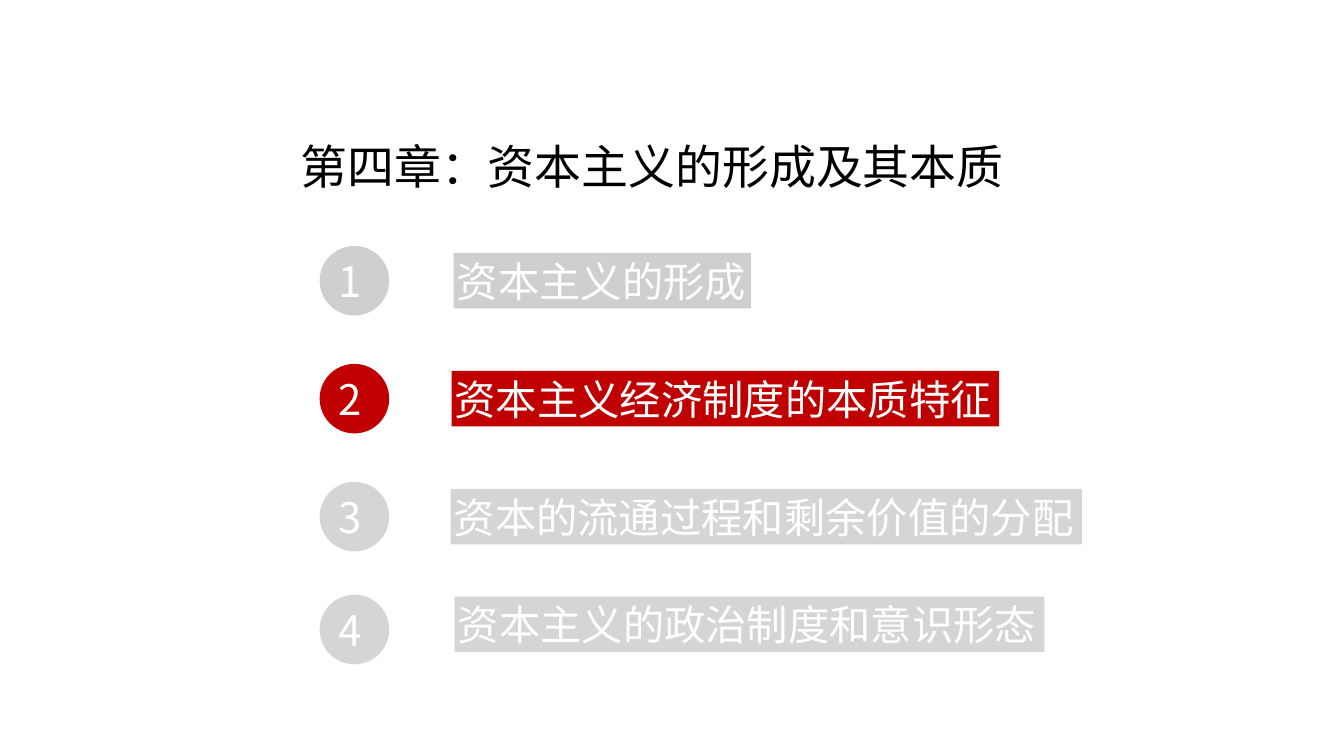
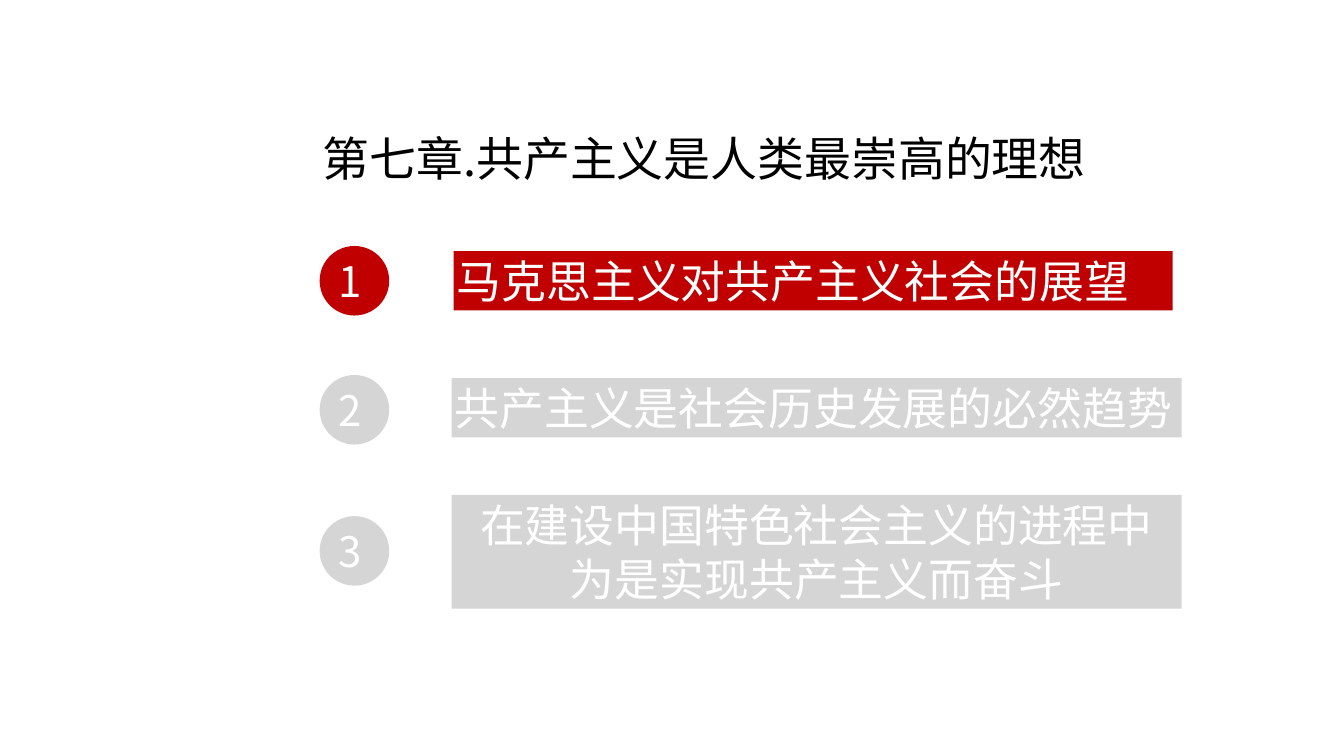
from dataclasses import dataclass

from lxml.etree import SubElement
from pptx import Presentation
from pptx.dml.color import RGBColor
from pptx.enum.shapes import MSO_SHAPE
from pptx.enum.text import MSO_ANCHOR, MSO_AUTO_SIZE, PP_ALIGN
from pptx.oxml.ns import qn
from pptx.util import Inches, Pt

FONT = "Noto Sans CJK SC"
BLACK, WHITE = "000000", "FFFFFF"
RED, GREY, WARM_GREY = "C00000", "D5D5D5", "D0CECE"
CIRCLE_LEFT, CIRCLE_SIZE = 3.17, 0.69
INSET = 0.03
DIGIT_INDENT = 0.09


@dataclass(frozen=True)
class Box:
    left: float
    top: float
    width: float
    height: float

    def emu(self) -> tuple:
        return tuple(Inches(v) for v in (self.left, self.top, self.width, self.height))


@dataclass(frozen=True)
class Section:
    lines: tuple
    circle_top: float
    bar: Box
    fill: str = GREY
    align: PP_ALIGN = PP_ALIGN.LEFT


@dataclass(frozen=True)
class Chapter:
    title: str
    title_box: Box
    bar_size: float
    sections: tuple


CHAPTERS = (
    Chapter("第四章：资本主义的形成及其本质", Box(2.95, 1.1, 7.1, 0.8), 29.5, (
        Section(("资本主义的形成",), 2.44, Box(4.5, 2.51, 2.95, 0.55), WARM_GREY),
        Section(("资本主义经济制度的本质特征",), 3.61, Box(4.48, 3.68, 5.43, 0.55), RED),
        Section(("资本的流通过程和剩余价值的分配",), 4.78, Box(4.47, 4.85, 6.26, 0.55)),
        Section(("资本主义的政治制度和意识形态",), 5.9, Box(4.51, 5.92, 5.85, 0.55)),
    )),
    Chapter("第七章.共产主义是人类最崇高的理想", Box(3.17, 0.98, 7.69, 0.9), 32, (
        Section(("马克思主义对共产主义社会的展望",), 2.44, Box(4.5, 2.49, 7.13, 0.59), RED),
        Section(("共产主义是社会历史发展的必然趋势",), 3.72, Box(4.48, 3.75, 7.24, 0.59)),
        Section(("在建设中国特色社会主义的进程中", "为是实现共产主义而奋斗"), 5.12,
                Box(4.48, 4.91, 7.24, 1.13), align=PP_ALIGN.CENTER),
    )),
)


def color(value: str) -> RGBColor:
    return RGBColor.from_string(value)


def write(sp, lines: tuple, size: float, ink: str, inset: float = INSET,
          indent: float = INSET, align: PP_ALIGN = PP_ALIGN.LEFT, spacing: float = 1.0) -> None:
    tf = sp.text_frame
    frame = {
        "word_wrap": True, "auto_size": MSO_AUTO_SIZE.NONE,
        "vertical_anchor": MSO_ANCHOR.MIDDLE, "margin_left": Inches(indent),
        "margin_top": Inches(inset), "margin_right": Inches(inset),
        "margin_bottom": Inches(inset),
    }
    for name, value in frame.items():
        setattr(tf, name, value)
    for i, line in enumerate(lines):
        p = tf.add_paragraph() if i else tf.paragraphs[0]
        p.alignment, p.line_spacing = align, spacing
        r = p.add_run()
        r.text = line
        for name, value in {"size": Pt(size), "name": FONT, "bold": False}.items():
            setattr(r.font, name, value)
        r.font.color.rgb = color(ink)
        SubElement(r._r.get_or_add_rPr(), qn("a:ea"), typeface=FONT)


def add_block(s, kind: MSO_SHAPE, box: Box, fill: str):
    sp = s.shapes.add_shape(kind, *box.emu())
    sp.shadow.inherit = False
    sp.fill.solid()
    sp.fill.fore_color.rgb = color(fill)
    sp.line.fill.background()
    return sp


def add_section(s, number: int, section: Section, size: float) -> None:
    bar = add_block(s, MSO_SHAPE.RECTANGLE, section.bar, section.fill)
    write(bar, section.lines, size, WHITE, align=section.align)
    box = Box(CIRCLE_LEFT, section.circle_top, CIRCLE_SIZE, CIRCLE_SIZE)
    circle = add_block(s, MSO_SHAPE.OVAL, box, section.fill)
    write(circle, (str(number),), 30, WHITE, inset=0, indent=DIGIT_INDENT)


def add_chapter(prs, chapter: Chapter) -> None:
    s = prs.slides.add_slide(prs.slide_layouts[5])
    title = s.shapes.title
    title.left, title.top, title.width, title.height = chapter.title_box.emu()
    write(title, (chapter.title,), 33.5, BLACK, spacing=1.5)
    for number, section in enumerate(chapter.sections, 1):
        add_section(s, number, section, chapter.bar_size)


def main() -> None:
    prs = Presentation()
    prs.slide_width, prs.slide_height = Inches(13.33), Inches(7.5)
    for chapter in CHAPTERS:
        add_chapter(prs, chapter)
    prs.save("out.pptx")


if __name__ == "__main__":
    main()
